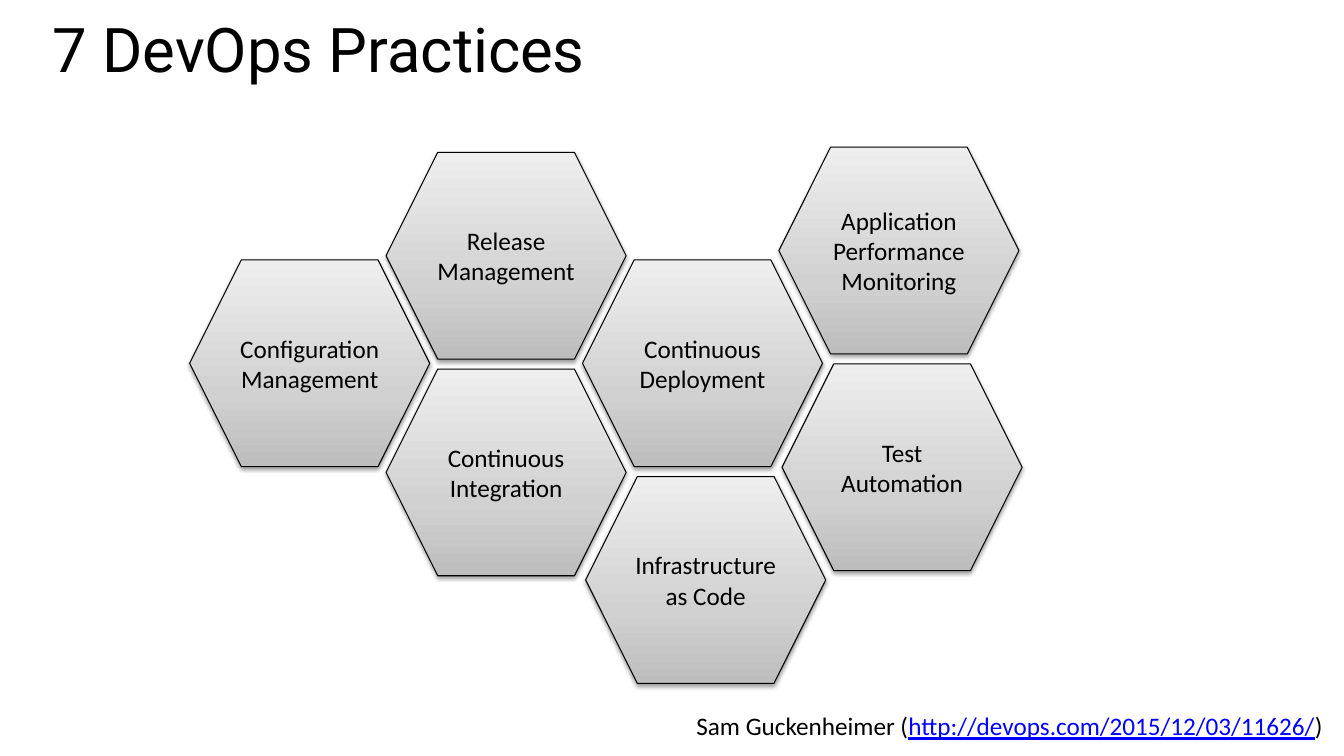
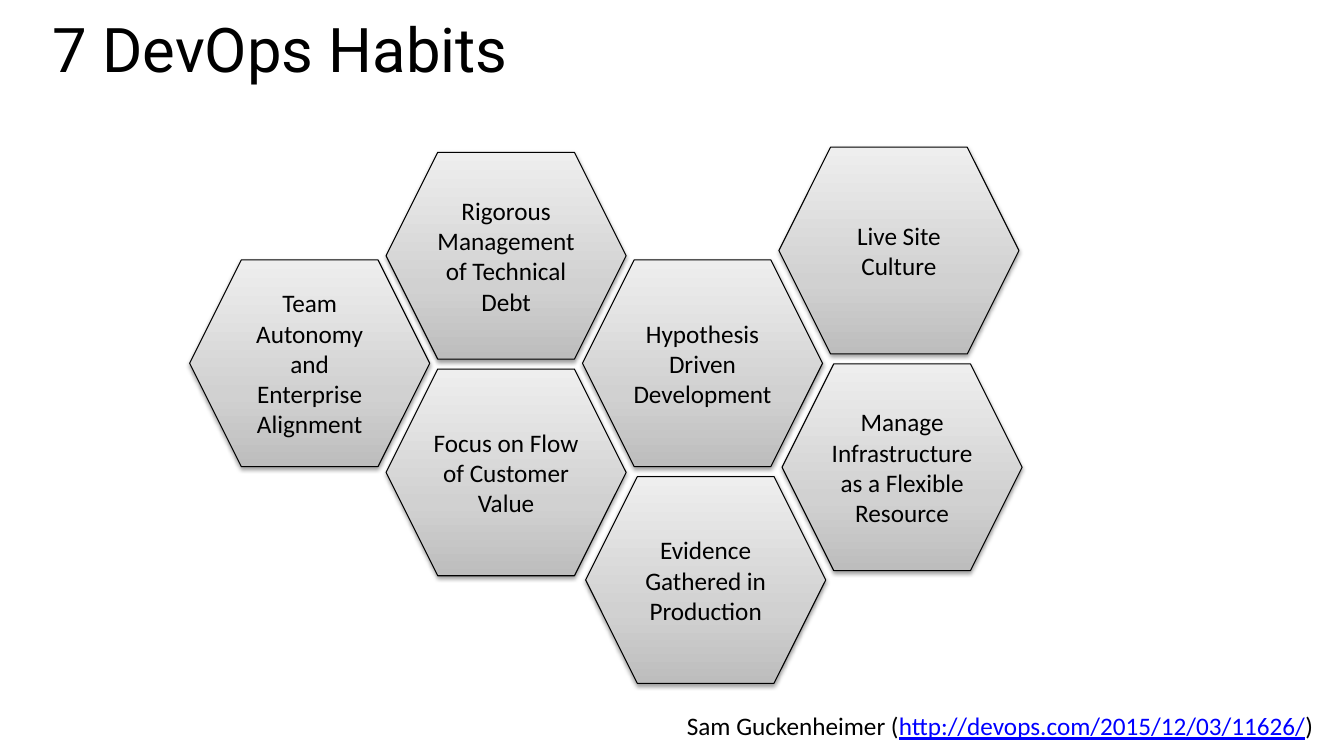
from copy import deepcopy

from lxml import etree
from pptx import Presentation
from pptx.dml.color import RGBColor
from pptx.enum.shapes import MSO_SHAPE
from pptx.enum.text import MSO_ANCHOR, MSO_AUTO_SIZE, PP_ALIGN
from pptx.oxml.ns import qn
from pptx.util import Cm, Pt

HEX = MSO_SHAPE.HEXAGON
TOP, MIDDLE = MSO_ANCHOR.TOP, MSO_ANCHOR.MIDDLE
LEFT, CENTER = PP_ALIGN.LEFT, PP_ALIGN.CENTER
NO_FIT = MSO_AUTO_SIZE.NONE

BLACK = RGBColor(0x00, 0x00, 0x00)
BLUE = RGBColor(0x00, 0x00, 0xFF)
STOPS = [
    (0, RGBColor(0xBD, 0xBD, 0xBD)),
    (0.35, RGBColor(0xD1, 0xD1, 0xD1)),
    (1, RGBColor(0xEE, 0xEE, 0xEE)),
]
SHADOW = {"blurRad": Pt(3.1), "dist": Pt(1.6), "dir": 90 * 60000, "rotWithShape": 0}
OPAQUE = 38000

HEAD = {"name": "Roboto", "size": Pt(44), "color": BLACK}
BODY = {"name": "Calibri", "size": Pt(18), "color": BLACK}
LINK = {**BODY, "color": BLUE, "underline": True}

SLIDES = [
    ("7 DevOps Practices", 17.3, [
        "Configuration Management",
        "Release Management",
        "Continuous Integration",
        "Continuous Deployment",
        "Infrastructure as Code",
        "Test Automation",
        "Application Performance Monitoring",
    ]),
    ("7 DevOps Habits", 17.06, [
        "Team Autonomy and Enterprise Alignment",
        "Rigorous Management of Technical Debt",
        "Focus on Flow of Customer Value",
        "Hypothesis Driven Development",
        "Evidence Gathered in Production",
        "Manage Infrastructure as a Flexible Resource",
        "Live Site Culture",
    ]),
]
CREDIT = [
    ("Sam Guckenheimer (", BODY),
    ("http://devops.com/2015/12/03/11626/", LINK),
    (")", BODY),
]

WIDE, HIGH = 6.05, 5.21
START, STEP, DROP, NUDGE = 4.78, 4.95, 5.46, 0.08
TOPS = [6.55, 3.84, 6.55, 3.71]
CELLS = [(0, 0, 0), (1, 0, 0), (1, 1, 0), (2, 0, 0), (2, 1, 1), (3, 1, 1), (3, 0, 0)]


def style(font, form):
    for key, value in form.items():
        if key == "color":
            font.color.rgb = value
        else:
            setattr(font, key, value)


def write(para, runs):
    for text, form in runs:
        run = para.add_run()
        run.text = text
        style(run.font, form)


def shade(shape):
    fill = shape.fill
    fill.gradient()
    fill.gradient_angle = 90
    group = shape._element.spPr.find(".//" + qn("a:gsLst"))
    group.insert(1, deepcopy(group[0]))
    for stop, (place, color) in zip(fill.gradient_stops, STOPS):
        stop.position = place
        stop.color.rgb = color


def cast(shape):
    shape.shadow.inherit = False
    effects = shape._element.spPr.find(qn("a:effectLst"))
    outer = etree.SubElement(effects, qn("a:outerShdw"))
    for key, value in SHADOW.items():
        outer.set(key, str(value))
    color = etree.SubElement(outer, qn("a:srgbClr"), val=str(BLACK))
    etree.SubElement(color, qn("a:alpha"), val=str(OPAQUE))


def add_cell(shapes, text, col, row, shift):
    left = START + col * STEP + shift * NUDGE
    top = TOPS[col] + row * DROP
    cell = shapes.add_shape(HEX, Cm(left), Cm(top), Cm(WIDE), Cm(HIGH))
    shade(cell)
    cell.line.color.rgb = BLACK
    cell.line.width = Pt(0.75)
    cast(cell)
    frame = cell.text_frame
    frame.word_wrap = True
    frame.vertical_anchor = MIDDLE
    para = frame.paragraphs[0]
    para.alignment = CENTER
    write(para, [(text, BODY)])


def add_title(slide, text):
    title = slide.shapes.title
    title.left, title.top, title.width, title.height = Cm(1.07), Cm(0.51), Cm(32), Cm(2.95)
    frame = title.text_frame
    frame.auto_size = NO_FIT
    frame.vertical_anchor = TOP
    para = frame.paragraphs[0]
    para.alignment = LEFT
    para.line_spacing = 0.8
    write(para, [(text, HEAD)])


def add_credit(slide, left):
    box = slide.shapes.add_textbox(Cm(left), Cm(17.78), Cm(16.5), Cm(1.02))
    box.text_frame.word_wrap = True
    write(box.text_frame.paragraphs[0], CREDIT)


def main():
    deck = Presentation()
    deck.slide_width, deck.slide_height = Cm(33.87), Cm(19.05)
    for title, left, labels in SLIDES:
        slide = deck.slides.add_slide(deck.slide_layouts[5])
        add_title(slide, title)
        comb = slide.shapes.add_group_shape()
        for text, place in zip(labels, CELLS):
            add_cell(comb.shapes, text, *place)
        add_credit(slide, left)
    deck.save("out.pptx")


if __name__ == "__main__":
    main()
